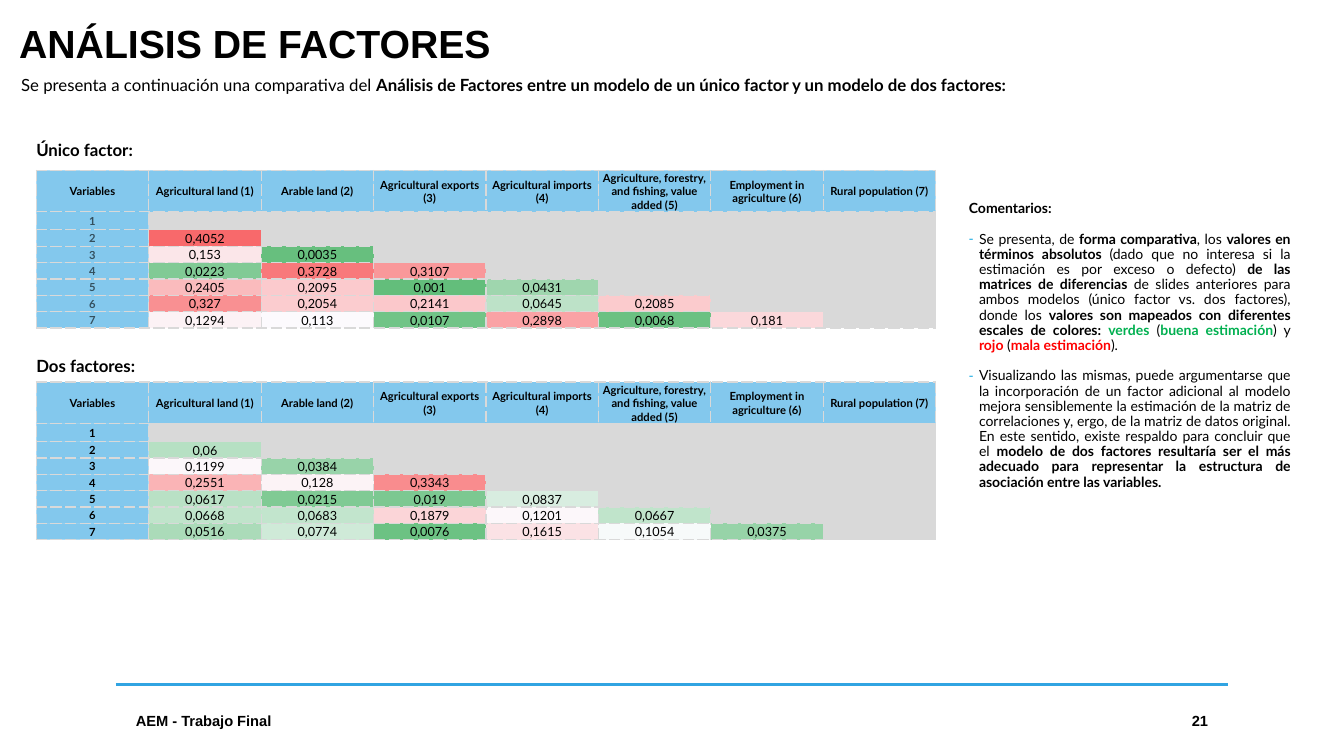
import dataclasses

import lxml.etree
import pptx
import pptx.dml.color
import pptx.enum.dml
import pptx.enum.text
import pptx.oxml.ns
import pptx.util

ALIGN = pptx.enum.text.PP_ALIGN
ANCHOR = pptx.enum.text.MSO_ANCHOR
qn = pptx.oxml.ns.qn


@dataclasses.dataclass(frozen=True)
class Theme:
    heading_font: str = "Arial"
    body_font: str = "Lato"
    text: str = "000000"
    accent: str = "31A4E2"
    bullet: str = "1CADE4"
    empty: str = "D9D9D9"
    good: str = "00B050"
    bad: str = "FF0000"
    scale: tuple = ("63BE7B", "FCFCFF", "F8696B")
    title_size: float = 28
    lead_size: float = 12
    note_size: float = 10
    footer_size: float = 10.5
    header_size: float = 8
    value_size: float = 9
    tint: int = 60


THEME = Theme()
GRID = pptx.util.Inches(0.1)  # the slide is 133.3 columns by 75 rows

HEADERS = ["Variables", "Agricultural land (1)", "Arable land (2)",
           "Agricultural exports (3)", "Agricultural imports (4)",
           "Agriculture, forestry, and fishing, value added (5)",
           "Employment in agriculture (6)", "Rural population (7)"]
ONE_FACTOR = [[], ["0,4052"], ["0,153", "0,0035"], ["0,0223", "0,3728", "0,3107"],
              ["0,2405", "0,2095", "0,001", "0,0431"],
              ["0,327", "0,2054", "0,2141", "0,0645", "0,2085"],
              ["0,1294", "0,113", "0,0107", "0,2898", "0,0068", "0,181"]]
TWO_FACTORS = [[], ["0,06"], ["0,1199", "0,0384"], ["0,2551", "0,128", "0,3343"],
               ["0,0617", "0,0215", "0,019", "0,0837"],
               ["0,0668", "0,0683", "0,1879", "0,1201", "0,0667"],
               ["0,0516", "0,0774", "0,0076", "0,1615", "0,1054", "0,0375"]]
ROW_HEIGHTS = [4.1, 1.8] + [1.6] * 6

# Runs are (text, bold, colour)
COMMENTS = [
    [("Se presenta, de ", False, THEME.text), ("forma comparativa", True, THEME.text),
     (", los ", False, THEME.text), ("valores en términos absolutos ", True, THEME.text),
     ("(dado que no interesa si la estimación es por exceso o defecto) ", False, THEME.text),
     ("de las matrices de diferencias ", True, THEME.text),
     ("de slides anteriores para ambos modelos (único factor vs. dos factores), donde los ",
      False, THEME.text),
     ("valores son mapeados con diferentes escales de colores: ", True, THEME.text),
     ("verdes", True, THEME.good), (" (", False, THEME.text),
     ("buena estimación", True, THEME.good), (") y ", False, THEME.text),
     ("rojo", True, THEME.bad), (" (", False, THEME.text),
     ("mala estimación", True, THEME.bad), (").", False, THEME.text)],
    [("Visualizando las mismas, puede argumentarse que la incorporación de un factor "
      "adicional al modelo mejora sensiblemente la estimación de la matriz de correlaciones "
      "y, ergo, de la matriz de datos original. En este sentido, existe respaldo para "
      "concluir que el ", False, THEME.text),
     ("modelo de dos factores resultaría ser el más adecuado para representar la estructura "
      "de asociación entre las variables.", True, THEME.text)],
]


def rgb(color):
    return pptx.dml.color.RGBColor.from_string(color)


def units(*lengths):
    """Turn grid columns or rows into slide lengths."""
    return [round(n * GRID) for n in lengths]


def number(text):
    return float(text.replace(",", "."))


def set_font(font, size, name=THEME.body_font, bold=None, color=THEME.text):
    font.size, font.name, font.bold = pptx.util.Pt(size), name, bold
    font.color.rgb = rgb(color)


def set_alpha(element, percent):
    for color in element.iter(qn("a:srgbClr")):
        lxml.etree.SubElement(color, qn("a:alpha"), val=str(percent * 1000))


def set_frame(sp, box, inset=0.5, anchor=ANCHOR.TOP):
    """Place a text shape on its box and return its text frame."""
    sp.left, sp.top, sp.width, sp.height = units(*box)
    tf = sp.text_frame
    tf.word_wrap, tf.vertical_anchor = True, anchor
    tf.auto_size = pptx.enum.text.MSO_AUTO_SIZE.NONE
    tf.margin_left = tf.margin_right = tf.margin_top = tf.margin_bottom = units(inset)[0]
    return tf


def add_runs(p, runs, size):
    set_font(p.font, size)
    for text, bold, color in runs:
        r = p.add_run()
        r.text, r.font.bold = text, bold
        r.font.color.rgb = rgb(color)


def add_text(slide, box, runs, size, line_spacing=0.9):
    tf = set_frame(slide.shapes.add_textbox(0, 0, 0, 0), box)
    p = tf.paragraphs[0]
    p.line_spacing = line_spacing
    add_runs(p, runs, size)


def set_bullet(p, mark, color):
    pPr = p._p.get_or_add_pPr()
    indent = units(1)[0]
    pPr.set("marL", str(indent if mark else 0))
    pPr.set("indent", str(-indent if mark else 0))
    bullets = []
    if mark:
        bu_color = lxml.etree.Element(qn("a:buClr"))
        lxml.etree.SubElement(bu_color, qn("a:srgbClr"), val=color)
        bullets = [bu_color, lxml.etree.Element(qn("a:buChar"), char=mark)]
    else:
        bullets = [lxml.etree.Element(qn("a:buNone"))]
    defaults = pPr.find(qn("a:defRPr"))
    for bullet in bullets:
        defaults.addprevious(bullet)


def add_title(slide, box):
    tf = set_frame(slide.shapes.title, box, inset=1)
    tf.margin_top = tf.margin_bottom = units(0.5)[0]
    p = tf.paragraphs[0]
    p.text, p.alignment = "ANÁLISIS DE FACTORES", ALIGN.LEFT
    set_font(p.font, THEME.title_size, THEME.heading_font, True)


def add_comments(slide, box):
    tf = set_frame(slide.placeholders[1], box)
    for i, runs in enumerate([[("Comentarios:", True, THEME.text)]] + COMMENTS):
        p = tf.add_paragraph() if i else tf.paragraphs[0]
        p.alignment, p.line_spacing = ALIGN.JUSTIFY, 0.9
        p.space_before = pptx.util.Pt(11 if i else 0)
        add_runs(p, runs, THEME.note_size)
        set_bullet(p, "-" if i else None, THEME.bullet)


def make_color_scale(values):
    """Return a function from value to colour: minimum, median and maximum are fixed."""
    values = sorted(values)
    half = len(values) // 2
    low, mid, high = values[0], (values[half - 1] + values[half]) / 2, values[-1]
    green, white, red = (rgb(color) for color in THEME.scale)

    def color_of(value):
        start, end, a, b = (low, mid, green, white) if value < mid else (mid, high, white, red)
        share = (value - start) / (end - start)
        return "".join(f"{round(x + (y - x) * share):02X}" for x, y in zip(a, b))

    return color_of


def format_cell(cell, text, fill, size, bold, tint=None, text_alpha=None):
    cell.margin_left = cell.margin_right = cell.margin_top = units(0.1)[0]
    cell.margin_bottom = 0
    cell.vertical_anchor = ANCHOR.MIDDLE
    p = cell.text_frame.paragraphs[0]
    p.alignment = ALIGN.CENTER
    if text:
        p.text = text
        set_font(p.font, size, bold=bold)
        if text_alpha:
            set_alpha(p._p, text_alpha)
    else:
        lxml.etree.SubElement(p._p, qn("a:endParaRPr"), sz=str(size * 100))
    cell.fill.solid()
    cell.fill.fore_color.rgb = rgb(fill)
    tcPr = cell._tc.get_or_add_tcPr()
    if tint:
        set_alpha(tcPr, tint)
    for i, side in enumerate(("lnL", "lnR", "lnT", "lnB")):
        ln = lxml.etree.Element(qn("a:" + side), w=str(pptx.util.Pt(1)))
        solid = lxml.etree.SubElement(ln, qn("a:solidFill"))
        lxml.etree.SubElement(solid, qn("a:srgbClr"), val=THEME.empty)
        lxml.etree.SubElement(ln, qn("a:prstDash"), val="sysDash")
        tcPr.insert(i, ln)


def add_factor_table(slide, box, label, rows, color_of, label_alpha=None):
    """Place a heading and, below it, a triangular table coloured by value."""
    x, y, w, table_gap = box
    add_text(slide, (x - 0.5, y, w, 3.2), [(label, True, THEME.text)], THEME.lead_size)
    frame = slide.shapes.add_table(len(rows) + 1, len(HEADERS),
                                   *units(x, y + table_gap, w, sum(ROW_HEIGHTS)))
    table = frame.table
    table.first_row = table.horz_banding = False
    for row, height in zip(table.rows, ROW_HEIGHTS):
        row.height = units(height)[0]
    for j, header in enumerate(HEADERS):
        format_cell(table.cell(0, j), header, THEME.accent, THEME.header_size, True, THEME.tint)
    for i, values in enumerate(rows, 1):
        format_cell(table.cell(i, 0), str(i), THEME.accent, THEME.header_size, True,
                    THEME.tint, label_alpha)
        for j in range(1, len(HEADERS)):
            text = values[j - 1] if j <= len(values) else ""
            fill = color_of(number(text)) if text else THEME.empty
            format_cell(table.cell(i, j), text, fill, THEME.value_size, False)


def add_footer(slide, box):
    x, y, w, h = box
    line = slide.shapes.add_connector(1, *units(x, y, x + w, y))
    line.line.color.rgb, line.line.width = rgb(THEME.accent), pptx.util.Pt(2)
    lxml.etree.SubElement(line._element.spPr, qn("a:effectLst"))
    for text, left, width, align in (("AEM - Trabajo Final", x + 1, 43.3, ALIGN.LEFT),
                                     ("21", x + w - 7.8, 6.8, ALIGN.RIGHT)):
        tf = set_frame(slide.shapes.add_textbox(0, 0, 0, 0),
                       (left, y + 1.6, width, h - 1.6), 1, ANCHOR.MIDDLE)
        p = tf.paragraphs[0]
        p.text, p.alignment = text, align
        set_font(p.font, THEME.footer_size, THEME.heading_font, True)


def main():
    prs = pptx.Presentation()
    prs.slide_width, prs.slide_height = units(133.3, 75)
    slide = prs.slides.add_slide(prs.slide_layouts[1])
    color_of = make_color_scale(number(v) for row in ONE_FACTOR + TWO_FACTORS for v in row)

    add_footer(slide, (11.5, 67.9, 110.3, 5.6))
    add_title(slide, (0.9, 1.4, 121.2, 5.7))
    add_text(slide, (1.6, 7.3, 129.6, 2.8),
             [("Se presenta a continuación una comparativa del ", False, THEME.text),
              ("Análisis de Factores entre un modelo de un único factor y un modelo de dos "
               "factores:", True, THEME.text)], THEME.lead_size, 0.8)
    add_factor_table(slide, (3.6, 13.6, 89.2, 3.3), "Único factor:", ONE_FACTOR, color_of,
                     THEME.tint)
    add_factor_table(slide, (3.6, 35, 89.2, 2.9), "Dos factores:", TWO_FACTORS, color_of)
    add_comments(slide, (95.6, 19.5, 32.9, 33))
    prs.save("out.pptx")


if __name__ == "__main__":
    main()
